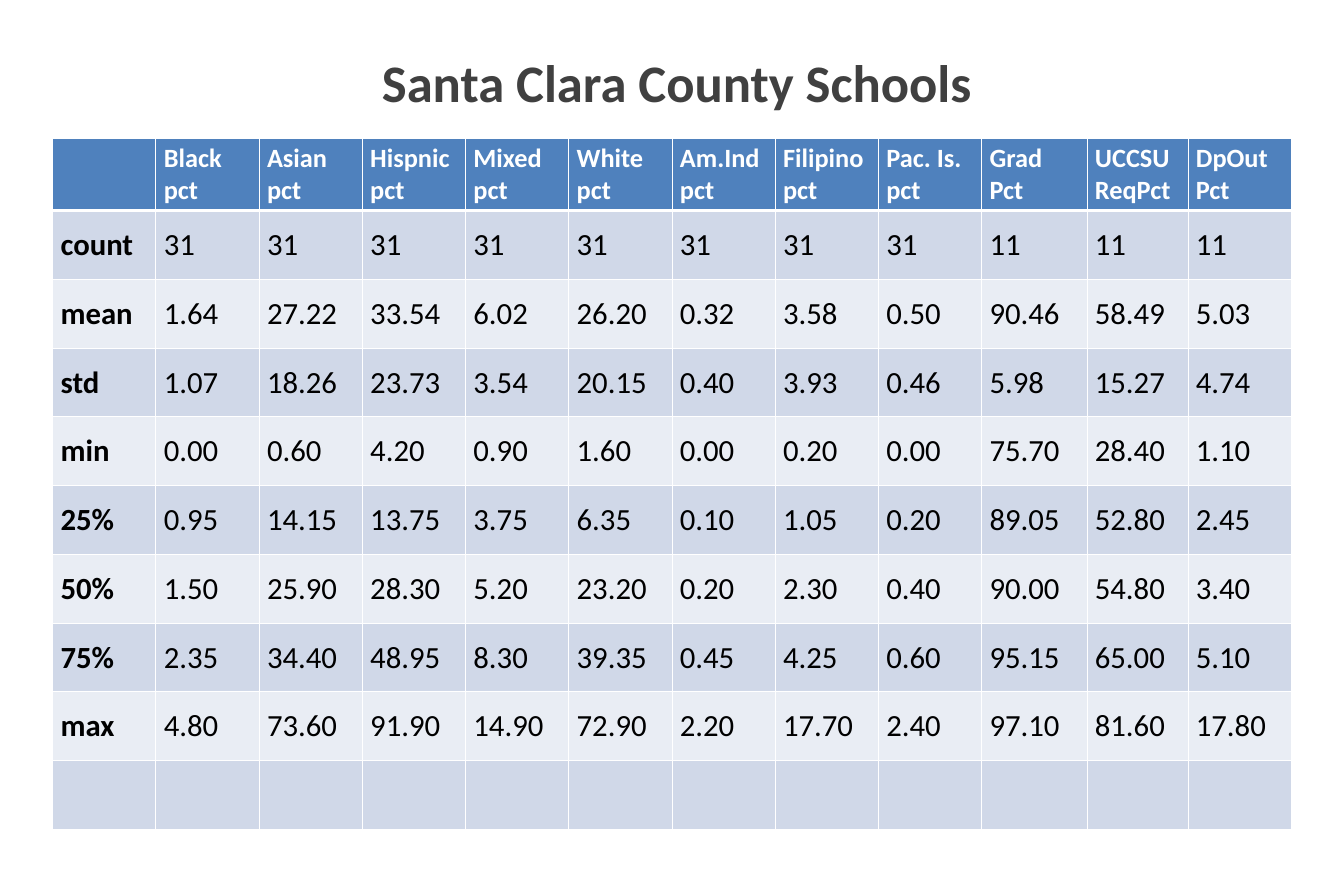
from collections import namedtuple
from dataclasses import dataclass

from lxml.etree import SubElement
from pptx import Presentation
from pptx.dml.color import RGBColor
from pptx.enum.text import MSO_ANCHOR as Anchor, MSO_AUTO_SIZE as AutoSize, PP_ALIGN as Align
from pptx.oxml.ns import qn
from pptx.util import Pt

Box = namedtuple("Box", "left top width height")


@dataclass(frozen=True)
class Theme:
    font: str = "Calibri"
    title_color: str = "404040"
    header_fill: str = "4F81BD"
    header_color: str = "FFFFFF"
    body_color: str = "000000"
    bands: tuple = ("D0D8E8", "E9EDF4")
    rule_color: str = "FFFFFF"
    rule: float = 1
    header_rule: float = 3
    title_size: float = 48
    header_size: float = 24
    body_size: float = 28


THEME = Theme()

TITLE = "Santa Clara County Schools"
HEADERS = ["", "Black\npct", "Asian\npct", "Hispnic\npct", "Mixed\npct", "White\npct",
           "Am.Ind\npct", "Filipino\npct", "Pac. Is.\npct", "Grad\nPct",
           "UCCSU\nReqPct", "DpOut\nPct"]
STATISTICS = [line.split() for line in (
    "count 31 31 31 31 31 31 31 31 11 11 11",
    "mean 1.64 27.22 33.54 6.02 26.20 0.32 3.58 0.50 90.46 58.49 5.03",
    "std 1.07 18.26 23.73 3.54 20.15 0.40 3.93 0.46 5.98 15.27 4.74",
    "min 0.00 0.60 4.20 0.90 1.60 0.00 0.20 0.00 75.70 28.40 1.10",
    "25% 0.95 14.15 13.75 3.75 6.35 0.10 1.05 0.20 89.05 52.80 2.45",
    "50% 1.50 25.90 28.30 5.20 23.20 0.20 2.30 0.40 90.00 54.80 3.40",
    "75% 2.35 34.40 48.95 8.30 39.35 0.45 4.25 0.60 95.15 65.00 5.10",
    "max 4.80 73.60 91.90 14.90 72.90 2.20 17.70 2.40 97.10 81.60 17.80",
)]
ROWS = [HEADERS, *STATISTICS, [""] * len(HEADERS)]
# Differences from the common column width, in points
WIDTH_CHANGES = {9: 2, 10: -2}


def style_paragraph(paragraph, size, color, bold):
    font = paragraph.font
    font.name = THEME.font
    font.size = Pt(size)
    font.bold = bold
    font.color.rgb = RGBColor.from_string(color)


def set_borders(cell, top, bottom):
    properties = cell._tc.get_or_add_tcPr()
    widths = {"a:lnL": THEME.rule, "a:lnR": THEME.rule, "a:lnT": top, "a:lnB": bottom}
    for tag, width in widths.items():
        line = SubElement(properties, qn(tag), w=str(Pt(width)))
        fill = SubElement(line, qn("a:solidFill"))
        SubElement(fill, qn("a:srgbClr"), val=THEME.rule_color)


def add_title(slide, box):
    shape = slide.shapes.add_textbox(*map(Pt, box))
    frame = shape.text_frame
    frame.word_wrap = False
    frame.auto_size = AutoSize.SHAPE_TO_FIT_TEXT
    frame.text = TITLE
    paragraph = frame.paragraphs[0]
    paragraph.alignment = Align.CENTER
    style_paragraph(paragraph, THEME.title_size, THEME.title_color, True)


def fill_cell(cell, text, row, column):
    is_header = row == 0
    set_borders(cell,
                top=THEME.header_rule if row == 1 else THEME.rule,
                bottom=THEME.header_rule if is_header else THEME.rule)
    cell.fill.solid()
    cell.fill.fore_color.rgb = RGBColor.from_string(
        THEME.header_fill if is_header else THEME.bands[(row - 1) % 2])
    cell.vertical_anchor = Anchor.MIDDLE
    cell.text = text
    size = THEME.header_size if is_header else THEME.body_size
    color = THEME.header_color if is_header else THEME.body_color
    for paragraph in cell.text_frame.paragraphs:
        style_paragraph(paragraph, size, color, is_header or column == 0)


def add_statistics(slide, box):
    table = slide.shapes.add_table(len(ROWS), len(HEADERS), *map(Pt, box)).table
    table.first_col = True
    # Equal rows, nearly equal columns
    for row in table.rows:
        row.height = Pt(box.height / len(ROWS))
    for index, column in enumerate(table.columns):
        column.width = Pt(box.width / len(HEADERS) + WIDTH_CHANGES.get(index, 0))
    # Cell contents
    for row, values in enumerate(ROWS):
        for column, text in enumerate(values):
            fill_cell(table.cell(row, column), text, row, column)


def main():
    presentation = Presentation()
    presentation.slide_width = Pt(1224)
    presentation.slide_height = Pt(792)
    slide = presentation.slides.add_slide(presentation.slide_layouts[6])
    add_statistics(slide, Box(48, 126, 1128, 626))
    add_title(slide, Box(339, 42, 555, 65.5))
    presentation.save("out.pptx")


if __name__ == "__main__":
    main()
